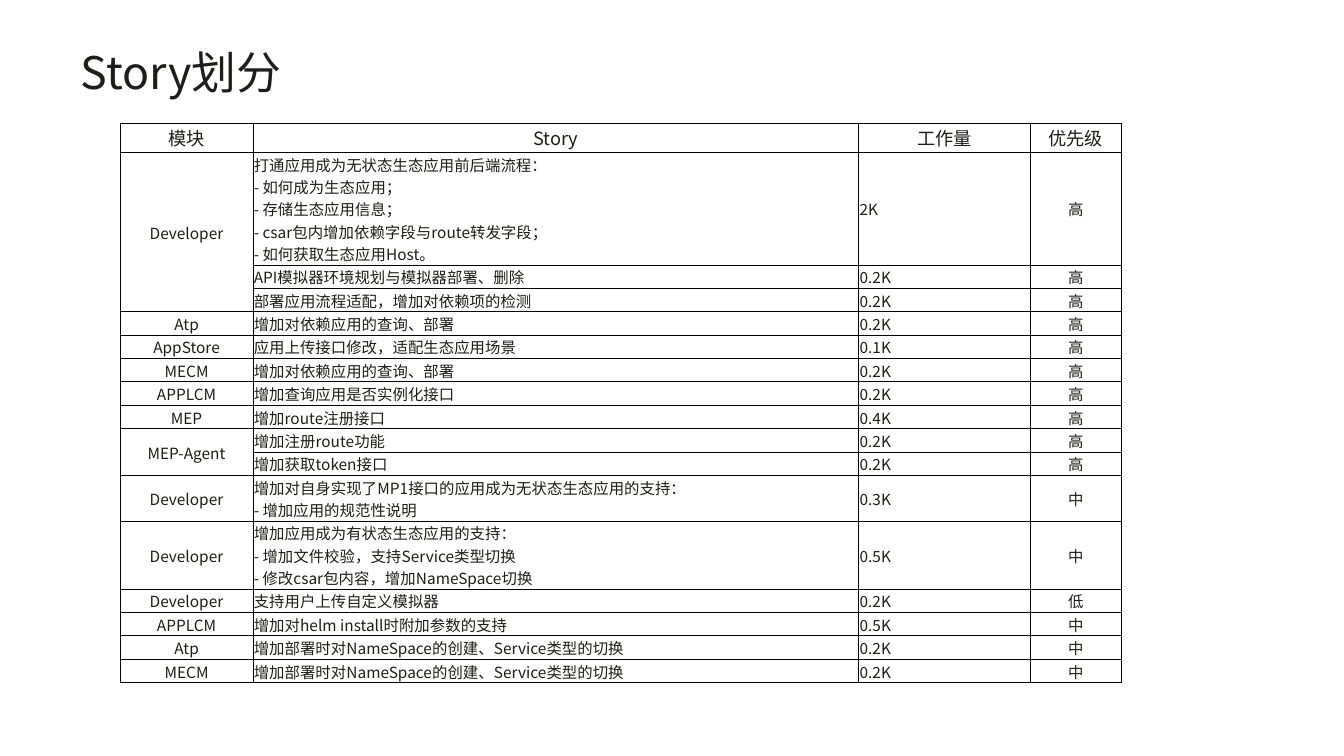
from dataclasses import dataclass

from lxml.etree import SubElement
from pptx import Presentation
from pptx.dml.color import RGBColor
from pptx.enum.text import MSO_ANCHOR as Anchor, MSO_AUTO_SIZE as AutoSize, PP_ALIGN as Align
from pptx.oxml.ns import qn
from pptx.util import Pt


@dataclass(frozen=True)
class Theme:
    font: str = "Noto Sans CJK SC"
    ink: str = "1D1D1A"
    border: str = "000000"
    title_size: int = 32
    header_size: int = 13
    body_size: int = 11


theme = Theme()


def write(para, text, size, align):
    para.text = text
    para.alignment = align
    for span in para.runs:
        span.font.size = Pt(size)
        span.font.color.rgb = RGBColor.from_string(theme.ink)
        span.font.name = theme.font
        SubElement(span.font._element, qn("a:ea"), typeface=theme.font)


def add_borders(cell):
    properties = cell._tc.get_or_add_tcPr()
    for side in ("a:lnL", "a:lnR", "a:lnT", "a:lnB"):
        line = SubElement(properties, qn(side), w=str(Pt(0.5)))
        fill = SubElement(line, qn("a:solidFill"))
        SubElement(fill, qn("a:srgbClr"), val=theme.border)


deck = Presentation()
deck.slide_width, deck.slide_height = Pt(960.5), Pt(540)
page = deck.slides.add_slide(deck.slide_layouts[5])

title = page.shapes.title
title.left, title.top, title.width, title.height = Pt(57.6), Pt(36), Pt(846), Pt(78.5)
frame = title.text_frame
frame.margin_left = frame.margin_top = frame.margin_right = frame.margin_bottom = 0
frame.vertical_anchor = Anchor.TOP
frame.auto_size = AutoSize.NONE
frame.word_wrap = True
write(frame.paragraphs[0], "Story划分", theme.title_size, Align.LEFT)
frame.paragraphs[0].line_spacing = Pt(34.3)

# An empty module name continues the module above it.
stories = [
    ("模块", "Story", "工作量", "优先级"),
    ("Developer",
     "打通应用成为无状态生态应用前后端流程：\n- 如何成为生态应用；\n- 存储生态应用信息；\n"
     "- csar包内增加依赖字段与route转发字段；\n- 如何获取生态应用Host。", "2K", "高"),
    ("", "API模拟器环境规划与模拟器部署、删除", "0.2K", "高"),
    ("", "部署应用流程适配，增加对依赖项的检测", "0.2K", "高"),
    ("Atp", "增加对依赖应用的查询、部署", "0.2K", "高"),
    ("AppStore", "应用上传接口修改，适配生态应用场景", "0.1K", "高"),
    ("MECM", "增加对依赖应用的查询、部署", "0.2K", "高"),
    ("APPLCM", "增加查询应用是否实例化接口", "0.2K", "高"),
    ("MEP", "增加route注册接口", "0.4K", "高"),
    ("MEP-Agent", "增加注册route功能", "0.2K", "高"),
    ("", "增加获取token接口", "0.2K", "高"),
    ("Developer",
     "增加对自身实现了MP1接口的应用成为无状态生态应用的支持：\n- 增加应用的规范性说明", "0.3K", "中"),
    ("Developer",
     "增加应用成为有状态生态应用的支持：\n- 增加文件校验，支持Service类型切换\n"
     "- 修改csar包内容，增加NameSpace切换", "0.5K", "中"),
    ("Developer", "支持用户上传自定义模拟器", "0.2K", "低"),
    ("APPLCM", "增加对helm install时附加参数的支持", "0.5K", "中"),
    ("Atp", "增加部署时对NameSpace的创建、Service类型的切换", "0.2K", "中"),
    ("MECM", "增加部署时对NameSpace的创建、Service类型的切换", "0.2K", "中"),
]
column_widths = (94.7, 433, 122.4, 65.6)
header_height = 20.9
height_by_lines = {1: 16.72, 2: 32.6, 3: 48.5, 5: 80.2}
row_heights = [header_height] + [height_by_lines[story.count("\n") + 1] for _, story, _, _ in stories[1:]]

table = page.shapes.add_table(
    len(stories), len(column_widths), Pt(86), Pt(87.8), Pt(sum(column_widths)), Pt(sum(row_heights))
).table
table.first_row = table.horz_banding = False
for column, width in zip(table.columns, column_widths):
    column.width = Pt(width)

module_row = 0
for row, values in enumerate(stories):
    table.rows[row].height = Pt(row_heights[row])
    size = theme.body_size if row else theme.header_size
    for column, text in enumerate(values):
        cell = table.cell(row, column)
        cell.margin_left = cell.margin_top = cell.margin_right = Pt(0.7)
        cell.margin_bottom = 0
        cell.vertical_anchor = Anchor.MIDDLE
        add_borders(cell)
        cell.fill.background()
        centred = row == 0 or column in (0, 3)
        if text:
            write(cell.text_frame.paragraphs[0], text, size, Align.CENTER if centred else Align.LEFT)
    if values[0]:
        module_row = row
    elif row + 1 == len(stories) or stories[row + 1][0]:
        table.cell(module_row, 0).merge(table.cell(row, 0))

deck.save("out.pptx")
